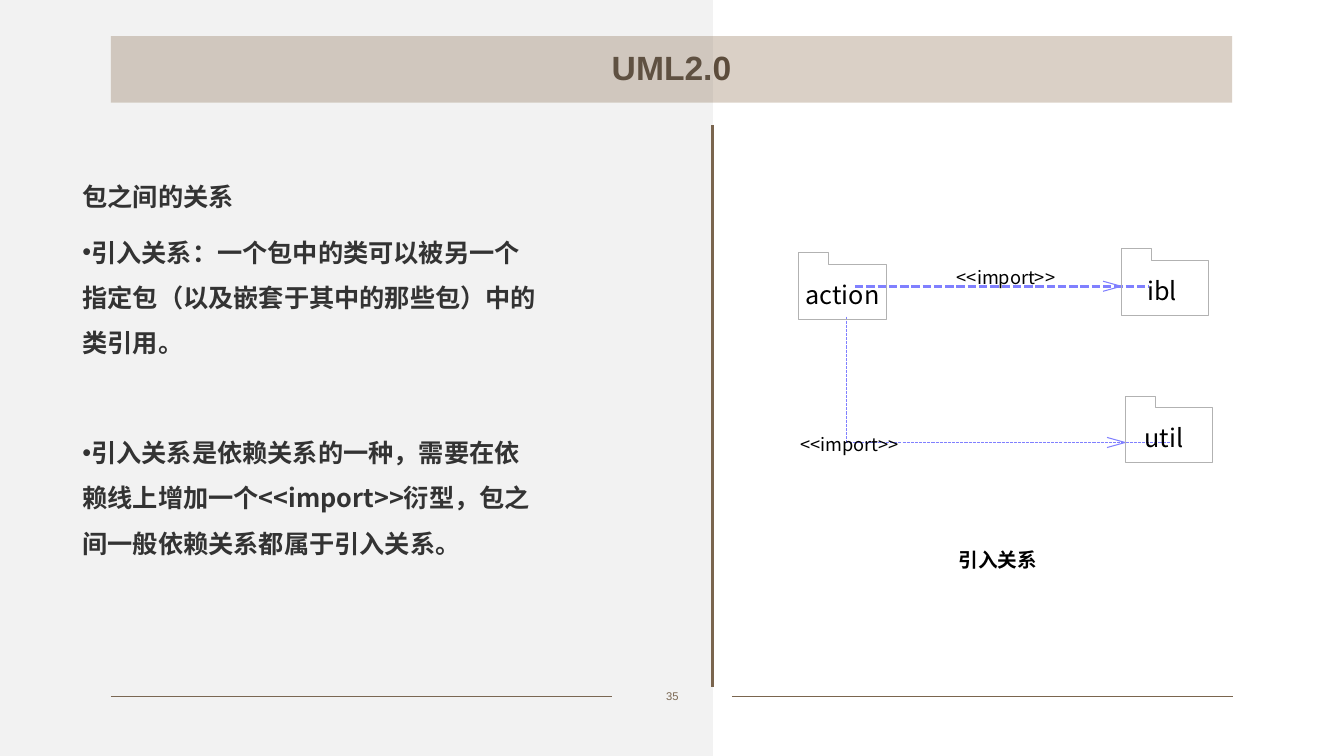
from lxml import etree
from pptx import Presentation, util as u
from pptx.dml.color import RGBColor
from pptx.enum import dml, shapes, text
from pptx.oxml.ns import qn

WIDTH, HEIGHT = u.Inches(13.33), u.Inches(7.5)
COLUMN, ROW = WIDTH / 13.33, HEIGHT / 7.5
SANS, CJK = "Arial", "Noto Sans CJK SC"
COLORS = {
    "rule": "7A654E",
    "banner": "B6A38E",
    "title": "5C4C3B",
    "panel": "808080",
    "body": "333333",
    "label": "000000",
    "dependency": "8080FF",
    "folder": "B2B2B2",
}


def color(name):
    return RGBColor.from_string(COLORS[name])


def place(x, y):
    return round(x * COLUMN), round(y * ROW)


def add_span(para, words, size, name, font=CJK, bold=False):
    span = para.add_run()
    span.text = words
    span.font.size = u.Pt(size)
    span.font.name = font
    span.font.bold = bold
    span.font.color.rgb = color(name)
    east_asian = etree.SubElement(span.font._element, qn("a:ea"))
    east_asian.set("typeface", font)


def add_bullet(para):
    properties = para._p.get_or_add_pPr()
    properties.set("marL", "0")
    properties.set("indent", "0")
    etree.SubElement(properties, qn("a:buFont")).set("typeface", SANS)
    etree.SubElement(properties, qn("a:buChar")).set("char", "•")


def add_text(page, at, size, words, name, font=CJK, bold=False, bullet=False,
             wrap=True, inset=True, centered=False):
    box = page.shapes.add_textbox(*place(*at[:2]), *place(*at[2:]))
    frame = box.text_frame
    frame.word_wrap = wrap
    frame.auto_size = text.MSO_AUTO_SIZE.SHAPE_TO_FIT_TEXT
    if not inset:
        frame.margin_left = frame.margin_right = 0
        frame.margin_top = frame.margin_bottom = 0
    para = frame.paragraphs[0]
    if bullet:
        add_bullet(para)
        para.line_spacing = 1.5
    if centered:
        frame.vertical_anchor = text.MSO_ANCHOR.MIDDLE
        para.alignment = text.PP_ALIGN.CENTER
    add_span(para, words, size, name, font, bold)


def add_band(page, at, name, opacity):
    band = page.shapes.add_shape(
        shapes.MSO_SHAPE.RECTANGLE, *place(*at[:2]), *place(*at[2:]))
    band.shadow.inherit = False
    band.line.fill.background()
    band.fill.solid()
    band.fill.fore_color.rgb = color(name)
    shade = band._element.spPr.find(qn("a:solidFill")).find(qn("a:srgbClr"))
    etree.SubElement(shade, qn("a:alpha")).set("val", str(opacity * 1000))
    return band


def add_title(page, words):
    banner = add_band(page, (1.1, 0.36, 11.12, 0.66), "banner", 50)
    banner.text_frame.word_wrap = True
    banner.text_frame.vertical_anchor = text.MSO_ANCHOR.MIDDLE
    para = banner.text_frame.paragraphs[0]
    para.alignment = text.PP_ALIGN.CENTER
    para.line_spacing = 0.9
    add_span(para, words, 24, "title", SANS, True)


def style_line(line, name, width, dashed=False):
    line.color.rgb = color(name)
    line.width = u.Pt(width)
    if dashed:
        line.dash_style = dml.MSO_LINE.SQUARE_DOT


def add_rule(page, start, end, name, width, dashed=False):
    rule = page.shapes.add_connector(
        shapes.MSO_CONNECTOR.STRAIGHT, *place(*start), *place(*end))
    style_line(rule.line, name, width, dashed)
    etree.SubElement(rule._element.spPr, qn("a:effectLst"))


def add_outline(page, points, name, close=False, dashed=False):
    corners = [place(*point) for point in points]
    builder = page.shapes.build_freeform(*corners[0], scale=1.0)
    builder.add_line_segments(corners[1:], close=close)
    outline = builder.convert_to_shape()
    outline.shadow.inherit = False
    outline.fill.background()
    style_line(outline.line, name, 0, dashed)


def add_arrowhead(page, x, y):
    back, half = 0.18, 0.05
    points = [(x - back, y + half), (x, y), (x - back, y - half)]
    add_outline(page, points, "dependency")


def add_import_label(page, x, y):
    add_text(page, (x, y, 1.05, 0.2), 13, "<<import>>", "label",
             wrap=False, inset=False)


def add_folder(page, x, y, words, indent, label_width):
    right, bottom = x + 0.87, y + 0.66
    tab, shoulder = x + 0.3, y + 0.11
    points = [(x, bottom), (right, bottom), (right, shoulder),
              (tab, shoulder), (tab, y), (x, y)]
    add_outline(page, points, "folder", close=True)
    add_text(page, (x + indent, y + 0.26, label_width, 0.28), 18, words,
             "label", wrap=False, inset=False)


def add_explanation(page):
    add_text(page, (0.72, 1.75, 6.67, 0.4), 18, "包之间的关系", "body", bold=True)
    bullets = [
        (2.15, "引入关系：一个包中的类可以被另一个指定包（以及嵌套于其中的那些包）中的类引用。"),
        (4.14, "引入关系是依赖关系的一种，需要在依赖线上增加一个<<import>>衍型，"
               "包之间一般依赖关系都属于引入关系。"),
    ]
    for top, words in bullets:
        add_text(page, (0.72, top, 4.7, 1.41), 18, words, "body",
                 bold=True, bullet=True)


def add_diagram(page):
    add_text(page, (9.41, 5.39, 1.12, 0.34), 14, "引入关系", "label", bold=True)
    add_rule(page, (8.48, 2.84), (11.39, 2.84), "dependency", 0, dashed=True)
    add_arrowhead(page, 11.12, 2.84)
    add_import_label(page, 9.49, 2.64)
    add_outline(page, [(8.4, 3.14), (8.4, 4.39), (11.6, 4.39)],
                "dependency", dashed=True)
    add_arrowhead(page, 11.16, 4.39)
    add_import_label(page, 7.94, 4.3)
    add_folder(page, 7.92, 2.51, "action", 0.07, 0.86)
    add_folder(page, 11.12, 2.47, "ibl", 0.26, 0.49)
    add_folder(page, 11.16, 3.93, "util", 0.19, 0.61)


def main():
    deck = Presentation()
    deck.slide_width, deck.slide_height = WIDTH, HEIGHT
    page = deck.slides.add_slide(deck.slide_layouts[6])
    for left in (1.1, 7.26):
        add_rule(page, (left, 6.91), (left + 4.97, 6.91), "rule", 0.5)
    add_text(page, (6.5, 6.79, 0.34, 0.24), 8, "35", "rule", SANS,
             wrap=False, centered=True)
    add_title(page, "UML2.0")
    add_band(page, (0, 0, 7.07, 7.5), "panel", 10)
    add_rule(page, (7.07, 1.24), (7.07, 6.82), "rule", 2)
    add_explanation(page)
    add_diagram(page)
    deck.save("out.pptx")


if __name__ == "__main__":
    main()
